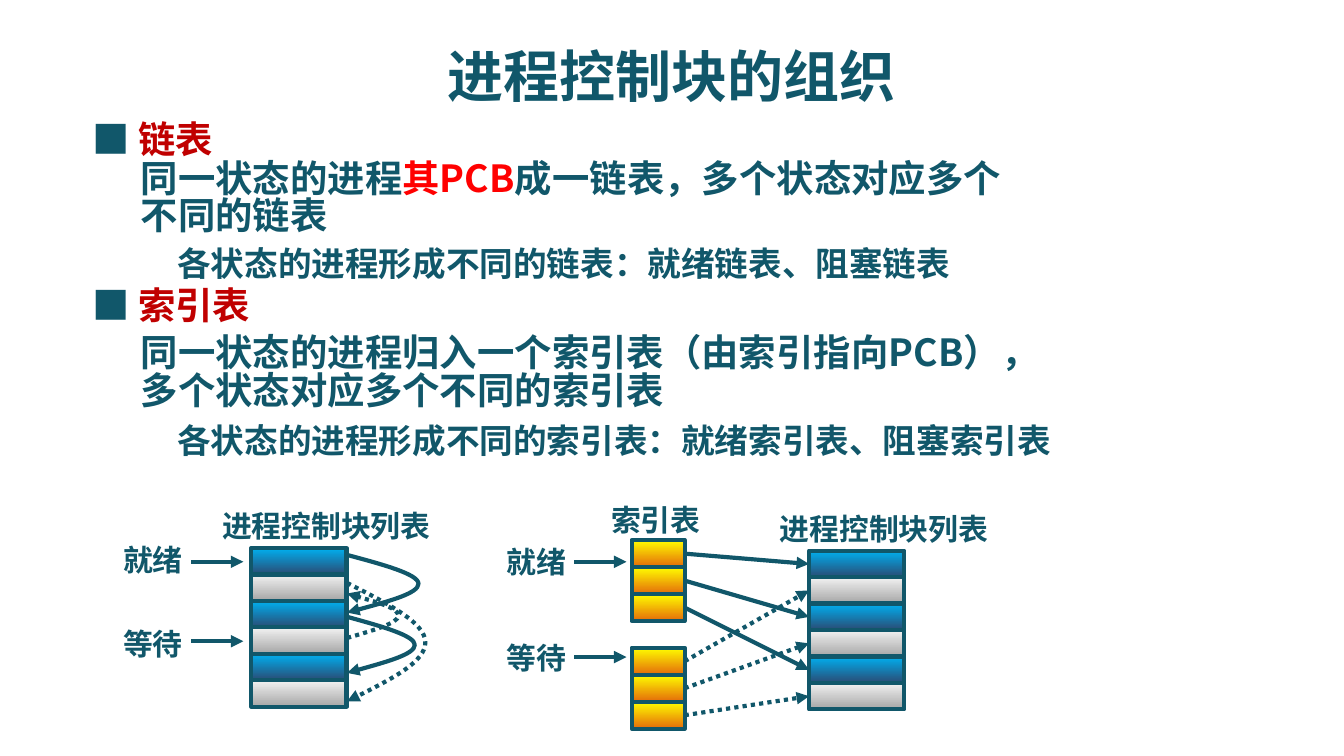
from lxml import etree
from pptx import Presentation
from pptx.dml.color import RGBColor
from pptx.enum.dml import MSO_LINE as Dash
from pptx.enum.shapes import MSO_CONNECTOR as Link, MSO_SHAPE as Kind
from pptx.enum.text import MSO_ANCHOR as Anchor, MSO_AUTO_SIZE as Auto, PP_ALIGN as Align
from pptx.oxml.ns import qn
from pptx.util import Cm, Pt

TEAL = RGBColor(0x11, 0x57, 0x6A)
DARK = RGBColor(0xC0, 0x00, 0x00)
RED = RGBColor(0xFF, 0x00, 0x00)
BLUE = (RGBColor(0x2A, 0x4C, 0x75), RGBColor(0x00, 0xB0, 0xF0))
GRAY = (RGBColor(0xA6, 0xA6, 0xA6), RGBColor(0xF2, 0xF2, 0xF2))
GOLD = (RGBColor(0xE4, 0x6C, 0x0A), RGBColor(0xFF, 0xFF, 0x00))
FONT = "Noto Sans CJK SC"
MARK = "Noto Sans CJK JP"


def text(shapes, box, *runs, size=20, color=TEAL, font=FONT, wrap=True,
         align=Align.LEFT, anchor=Anchor.TOP, lead=None):
    """Add a text box; a run is a string or a (string, colour) pair."""
    frame = shapes.add_textbox(*map(Cm, box)).text_frame
    frame.word_wrap = wrap
    frame.auto_size = Auto.NONE if wrap else Auto.SHAPE_TO_FIT_TEXT
    frame.vertical_anchor = anchor
    para = frame.paragraphs[0]
    para.alignment = align
    para.line_spacing = lead
    for item in runs:
        words, tint = (item, color) if isinstance(item, str) else item
        run = para.add_run()
        run.text = words
        run.font.size = Pt(size)
        run.font.bold = True
        run.font.color.rgb = tint
        run.font.name = font
        latin = run.font._element.find(qn("a:latin"))
        latin.addnext(latin.makeelement(qn("a:ea"), {"typeface": font}))


def stroke(shape, dotted=False):
    """Draw a shape's line as an arrow without a shadow."""
    shape.line.color.rgb = TEAL
    shape.line.width = Pt(2.25)
    if dotted:
        shape.line.dash_style = Dash.ROUND_DOT
    props = shape._element.spPr
    etree.SubElement(props.find(qn("a:ln")), qn("a:tailEnd"), type="triangle")
    if props.find(qn("a:effectLst")) is None:
        etree.SubElement(props, qn("a:effectLst"))


def arrow(shapes, x, y, end, y_end, dotted=False):
    """Add a straight arrow and return it."""
    link = shapes.add_connector(Link.STRAIGHT, Cm(x), Cm(y), Cm(end), Cm(y_end))
    stroke(link, dotted)
    return link


def curve(shapes, x, y, drop, bulge, dotted=False):
    """Add an arrow that swings out to the right and back to x."""
    pull = (0, 0.5, 1, 1, 1, 0.5, 0)
    dots = [(Cm(x + bulge * p), Cm(y + drop * i / 6)) for i, p in enumerate(pull)]
    form = shapes.build_freeform(*dots[0])
    form.add_line_segments(dots[1:], close=False)
    shape = form.convert_to_shape()
    shape.fill.background()
    steps = list(shape._element.iter(qn("a:lnTo")))
    for i in range(0, len(steps), 3):
        bend = steps[i].makeelement(qn("a:cubicBezTo"), {})
        steps[i].addprevious(bend)
        for step in steps[i:i + 3]:
            bend.append(step[0])
            step.getparent().remove(step)
    stroke(shape, dotted)


def stack(shapes, x, y, w, h, fills):
    """Add a column of equal cells and return them."""
    cells = []
    for i, stops in enumerate(fills):
        cell = shapes.add_shape(Kind.RECTANGLE, Cm(x), Cm(y + i * h), Cm(w), Cm(h))
        cell.shadow.inherit = False
        cell.fill.gradient()
        cell.fill.gradient_angle = 90
        for stop, color, spot in zip(cell.fill.gradient_stops, stops, (0, 1)):
            stop.color.rgb = color
            stop.position = spot
        cell.line.color.rgb = TEAL
        cell.line.width = Pt(2.25)
        cells.append(cell)
    return cells


def blocks(shapes, x, y):
    """Add the captioned list of process control blocks."""
    text(shapes, (x - 0.8, y - 0.89, 4.5, 0.94), "进程控制块列表", size=16, wrap=False)
    return stack(shapes, x, y, 1.8, 0.5, [BLUE, GRAY] * 3)


def state(shapes, x, y, name, drop):
    """Add a state name with its arrow."""
    text(shapes, (x, y, 1.65, 0.94), name, size=16, wrap=False)
    arrow(shapes, x + 1.53, y + drop, x + 2.52, y + drop)


def chain(shapes, x, y):
    """Draw the linked lists."""
    blocks(shapes, x + 2.67, y + 0.25)
    state(shapes, x, y, "就绪", 0.51)
    state(shapes, x, y + 1.6, "等待", 0.41)
    for top, drop, bulge, dotted in ((0.38, 1.09, 1.35, False), (1.55, 1.06, 1.28, False),
                                     (0.91, 2.24, 1.48, True), (1.95, -0.84, 0.97, True)):
        curve(shapes, x + 4.48, y + top, drop, bulge, dotted)


def index(shapes, x, y):
    """Draw the index tables that point to the blocks."""
    cells = blocks(shapes, x + 5.97, y + 0.25)
    text(shapes, (x + 1.98, y - 0.81, 2.24, 0.94), "索引表", size=16, wrap=False)
    for i, (name, top) in enumerate((("就绪", 0), ("等待", 1.8))):
        state(shapes, x, y + top, name, 0.46)
        keys = stack(shapes, x + 2.62, y + 0.05 + top * 1.13, 1, 0.51, [GOLD] * 3)
        for key, cell in zip(keys, cells[i::2]):
            link = arrow(shapes, x + 3.62, y, x + 5.97, y, dotted=i == 1)
            link.begin_connect(key, 3)
            link.end_connect(cell, 1)


def topic(shapes, x, y, w, name, runs, note, gap, rest):
    """Add a marked heading, its body and a closing note."""
    text(shapes, (x, y, 1, 1.12), "■", font=MARK)
    text(shapes, (x + 0.86, y, 3.12, 1.12), name, color=DARK)
    text(shapes, (x + 0.91, y + gap, w, 2.03), *runs, lead=0.83)
    text(shapes, (x + 1.6, y + rest, 17.7, 1.2), note, size=18, lead=0.83)


def main():
    """Build the slide."""
    deck = Presentation()
    deck.slide_width, deck.slide_height = Cm(25.4), Cm(14.29)
    shapes = deck.slides.add_slide(deck.slide_layouts[6]).shapes
    text(shapes, (1.9, 0.25, 21.6, 2.34), "进程控制块的组织", size=30,
         align=Align.CENTER, anchor=Anchor.MIDDLE)
    topic(shapes, 1.5, 2.08, 16.94, "链表",
          ("同一状态的进程", ("其PCB", RED), "成一链表，多个状态对应多个不同的链表"),
          "各状态的进程形成不同的链表：就绪链表、阻塞链表", 0.87, 2.52)
    topic(shapes, 1.5, 5.21, 17.15, "索引表",
          ("同一状态的进程归入一个索引表（由索引指向PCB），多个状态对应多个不同的索引表",),
          "各状态的进程形成不同的索引表：就绪索引表、阻塞索引表", 1.04, 2.74)
    chain(shapes, 2.08, 10.11)
    index(shapes, 9.32, 10.16)
    deck.save("out.pptx")


if __name__ == "__main__":
    main()
